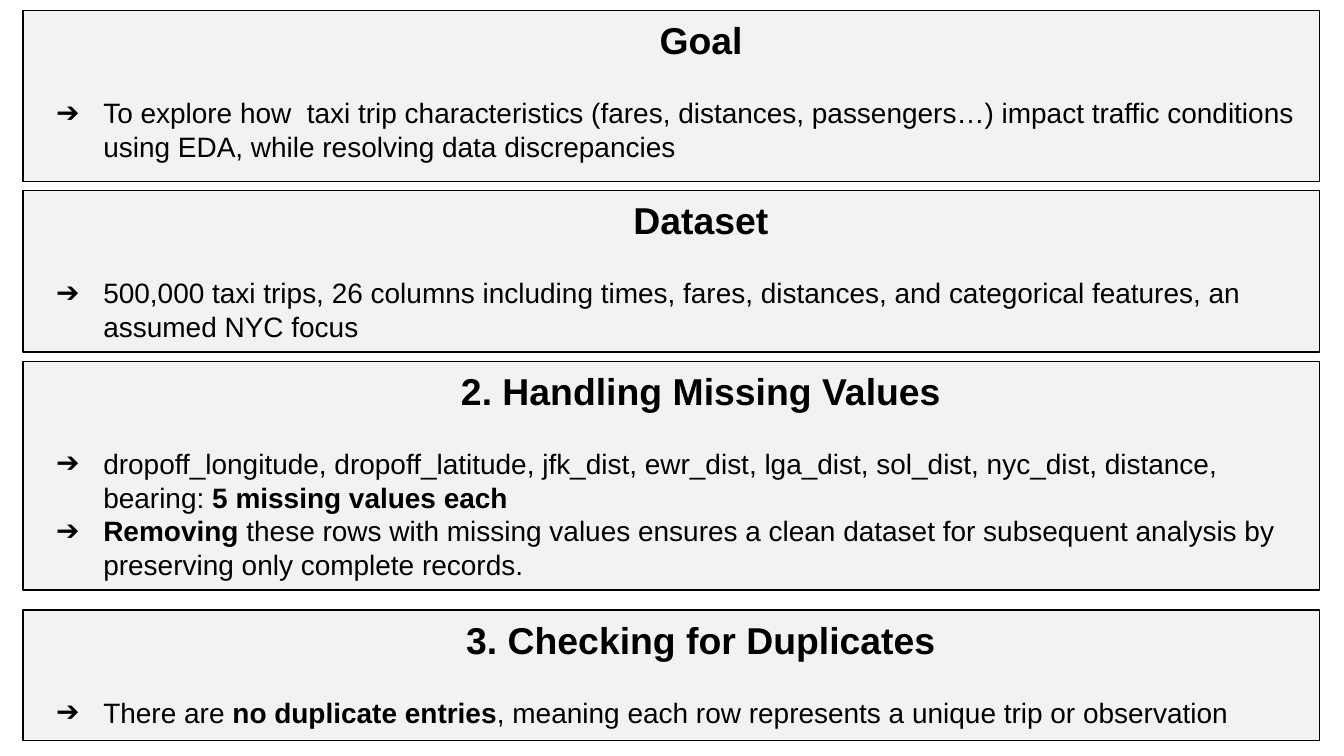
from dataclasses import dataclass

from lxml import etree
from pptx import Presentation
from pptx.dml.color import RGBColor
from pptx.enum import shapes, text
from pptx.oxml import ns
from pptx import util as u


@dataclass(frozen=True)
class Theme:
    """Colours, font and sizes shared by every panel."""
    ink: str = "000000"
    panel: str = "F2F2F2"
    font: str = "Arial"
    title: float = 20
    body: float = 15
    border: float = 0.75
    title_gap: float = 18


THEME = Theme()
WIDTH = 10
HEIGHT = WIDTH * 9 / 16
LEFT, PANEL_WIDTH = 0.17, 9.65
INDENT, HANGING = 0.5, -0.35

PANELS = [
    (0.08, 1.27, "Goal", [
        [("To explore how  taxi trip characteristics (fares, distances, passengers…) "
          "impact traffic conditions using EDA, while resolving data discrepancies", False)],
    ]),
    (1.42, 1.2, "Dataset", [
        [("500,000 taxi trips, 26 columns including times, fares, distances, "
          "and categorical features, an assumed NYC focus", False)],
    ]),
    (2.69, 1.7, "2. Handling Missing Values", [
        [("dropoff_longitude, dropoff_latitude, jfk_dist, ewr_dist, lga_dist, "
          "sol_dist, nyc_dist, distance, bearing: ", False),
         ("5 missing values each", True)],
        [("Removing", True),
         (" these rows with missing values ensures a clean dataset for subsequent "
          "analysis by preserving only complete records.", False)],
    ]),
    (4.54, 0.97, "3. Checking for Duplicates", [
        [("There are ", False), ("no duplicate entries", True),
         (", meaning each row represents a unique trip or observation", False)],
    ]),
]


def add_run(p, content, size=THEME.body, bold=False, color=THEME.ink):
    """Append formatted text to a paragraph."""
    r = p.add_run()
    r.text = content
    r.font.name = THEME.font
    r.font.size = u.Pt(size)
    r.font.bold = bold
    r.font.color.rgb = RGBColor.from_string(color)


def set_indent(p, first=0, bullet=None):
    """Indent a paragraph and give it an optional bullet."""
    props = p._p.get_or_add_pPr()
    props.set("marL", str(u.Inches(INDENT)))
    props.set("indent", str(u.Inches(first)))
    if bullet:
        color = etree.SubElement(props, ns.qn("a:buClr"))
        etree.SubElement(color, ns.qn("a:srgbClr"), val=THEME.ink)
        etree.SubElement(props, ns.qn("a:buSzPts"), val=str(int(THEME.body * 100)))
        etree.SubElement(props, ns.qn("a:buFont"), typeface=THEME.font)
        etree.SubElement(props, ns.qn("a:buChar"), char=bullet)


def add_panel(slide, box, title, bullets):
    """Draw a bordered panel with a centred title above its bullets."""
    sp = slide.shapes.add_shape(shapes.MSO_SHAPE.RECTANGLE, *map(u.Inches, box))
    sp.shadow.inherit = False
    sp.fill.solid()
    sp.fill.fore_color.rgb = RGBColor.from_string(THEME.panel)
    sp.line.color.rgb = RGBColor.from_string(THEME.ink)
    sp.line.width = u.Pt(THEME.border)
    tf = sp.text_frame
    tf.word_wrap = True
    tf.vertical_anchor = text.MSO_ANCHOR.TOP
    p = tf.paragraphs[0]
    set_indent(p)
    p.alignment = text.PP_ALIGN.CENTER
    p.space_after = u.Pt(THEME.title_gap)
    add_run(p, title, size=THEME.title, bold=True)
    add_run(p, " ")
    for runs in bullets:
        p = tf.add_paragraph()
        set_indent(p, first=HANGING, bullet="➔")
        p.alignment = text.PP_ALIGN.LEFT
        for content, bold in runs:
            add_run(p, content, bold=bold)


def main():
    """Build and save the slide."""
    prs = Presentation()
    prs.slide_width, prs.slide_height = u.Inches(WIDTH), u.Inches(HEIGHT)
    slide = prs.slides.add_slide(prs.slide_layouts[6])
    for top, height, title, bullets in PANELS:
        add_panel(slide, (LEFT, top, PANEL_WIDTH, height), title, bullets)
    prs.save("out.pptx")


if __name__ == "__main__":
    main()
